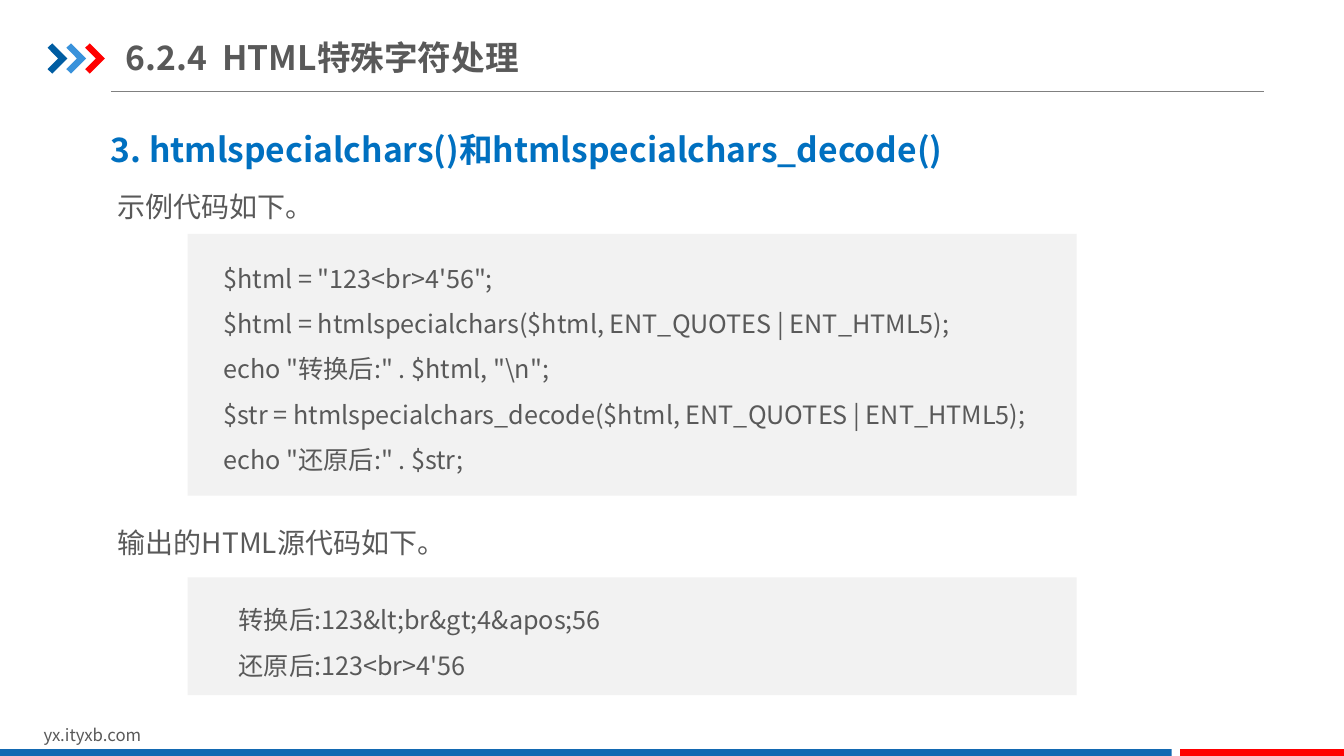
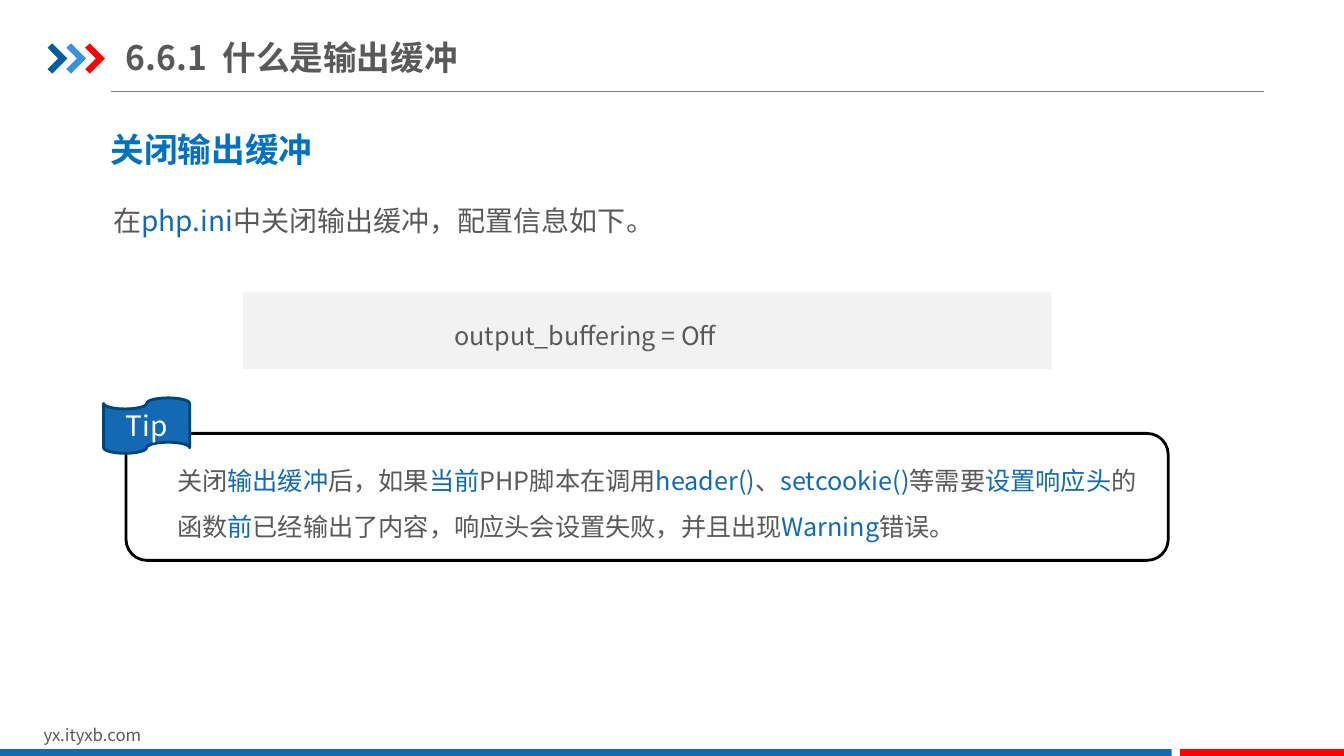
from dataclasses import dataclass

from lxml.etree import SubElement
from pptx import Presentation
from pptx.dml.color import RGBColor
from pptx.enum.shapes import MSO_CONNECTOR, MSO_SHAPE as Preset
from pptx.enum.text import MSO_ANCHOR as Anchor, MSO_AUTO_SIZE as AutoSize, PP_ALIGN as Align
from pptx.oxml.ns import qn
from pptx.shapes.autoshape import Shape
from pptx.slide import Slide
from pptx.util import Pt

FONT = "Noto Sans CJK SC"
GREY = RGBColor(0x59, 0x59, 0x59)
RULE_GREY = RGBColor(0x80, 0x80, 0x80)
PANEL_GREY = RGBColor(0xF2, 0xF2, 0xF2)
HEADING_BLUE = RGBColor(0x00, 0x70, 0xC0)
ACCENT = RGBColor(0x13, 0x69, 0xB3)
BAND_BLUE = RGBColor(0x13, 0x69, 0xB2)
DEEP_BLUE = RGBColor(0x00, 0x5D, 0xA2)
LIGHT_BLUE = RGBColor(0x39, 0x92, 0xDB)
TIP_EDGE = RGBColor(0x00, 0x45, 0x78)
RED = RGBColor(0xFF, 0x00, 0x00)
BLACK = RGBColor(0x00, 0x00, 0x00)
WHITE = RGBColor(0xFF, 0xFF, 0xFF)

CHEVRON_COLORS = (DEEP_BLUE, LIGHT_BLUE, RED)
CHEVRON_LEFT, CHEVRON_TOP, CHEVRON_PITCH = 34, 31, 13.4
CHEVRON_OUTLINE = ((0, 3.2), (3.3, 0), (14.2, 10.8), (3.3, 21.6), (0, 18.4), (7.6, 10.8))


@dataclass(frozen=True)
class Box:
    left: float
    top: float
    width: float
    height: float

    def lengths(self) -> tuple[Pt, Pt, Pt, Pt]:
        return Pt(self.left), Pt(self.top), Pt(self.width), Pt(self.height)


@dataclass(frozen=True)
class TextStyle:
    size: float
    color: RGBColor = GREY
    bold: bool = False
    spacing: float = 1.0


@dataclass(frozen=True)
class Line:
    """One paragraph; its segments alternate between plain and accented text."""
    segments: tuple[str, ...]


TITLE = TextStyle(24, bold=True)
HEADING = TextStyle(24, HEADING_BLUE, bold=True)
LEAD = TextStyle(20)
SPACED_LEAD = TextStyle(20, spacing=1.5)
CODE = TextStyle(18, spacing=1.5)
FOOTER = TextStyle(12)
TIP_LABEL = TextStyle(20, WHITE)


def plain(*texts: str) -> list[Line]:
    return [Line((text,)) for text in texts]


def write(shape: Shape, lines: list[Line], style: TextStyle, align: Align = Align.LEFT) -> None:
    frame = shape.text_frame
    for index, line in enumerate(lines):
        paragraph = frame.paragraphs[0] if index == 0 else frame.add_paragraph()
        paragraph.alignment = align
        paragraph.line_spacing = style.spacing
        for position, segment in enumerate(line.segments):
            run = paragraph.add_run()
            run.text = segment
            run.font.size = Pt(style.size)
            run.font.bold = style.bold
            run.font.color.rgb = ACCENT if position % 2 else style.color
            run.font.name = FONT
            SubElement(run.font._element, qn("a:ea"), typeface=FONT)


def add_text(slide: Slide, box: Box, lines: list[Line], style: TextStyle,
             anchor: Anchor = Anchor.TOP) -> Shape:
    text_box = slide.shapes.add_textbox(*box.lengths())
    frame = text_box.text_frame
    frame.word_wrap = True
    frame.auto_size = AutoSize.SHAPE_TO_FIT_TEXT
    frame.vertical_anchor = anchor
    write(text_box, lines, style)
    return text_box


def paint(shape: Shape, fill: RGBColor | None, edge: RGBColor | None = None) -> None:
    shape.shadow.inherit = False
    if fill is None:
        shape.fill.background()
    else:
        shape.fill.solid()
        shape.fill.fore_color.rgb = fill
    if edge is None:
        shape.line.fill.background()
    else:
        shape.line.color.rgb = edge
        shape.line.width = Pt(2)


def add_preset(slide: Slide, preset: Preset, box: Box, fill: RGBColor | None,
               edge: RGBColor | None = None) -> Shape:
    shape = slide.shapes.add_shape(preset, *box.lengths())
    paint(shape, fill, edge)
    return shape


def add_chevron(slide: Slide, left: float, color: RGBColor) -> None:
    start, *rest = [(Pt(left + x), Pt(CHEVRON_TOP + y)) for x, y in CHEVRON_OUTLINE]
    builder = slide.shapes.build_freeform(*start)
    builder.add_line_segments(rest, close=True)
    paint(builder.convert_to_shape(), color)


def add_frame(slide: Slide, title: str, heading: str) -> None:
    """Draw what every slide shares: rule, chevrons, footer, bands, title and heading."""
    rule = slide.shapes.add_connector(MSO_CONNECTOR.STRAIGHT, Pt(79.2), Pt(65.5), Pt(903), Pt(65.5))
    rule.line.color.rgb = RULE_GREY
    rule.line.width = Pt(0.75)
    SubElement(rule._element.spPr, qn("a:effectLst"))
    for index, color in enumerate(CHEVRON_COLORS):
        add_chevron(slide, CHEVRON_LEFT + index * CHEVRON_PITCH, color)
    add_text(slide, Box(24, 514, 229, 21.8), plain("yx.ityxb.com"), FOOTER)
    add_preset(slide, Preset.RECTANGLE, Box(0, 535, 837, 6.2), BAND_BLUE)
    add_preset(slide, Preset.RECTANGLE, Box(843, 535, 117, 6.2), RED)
    title_frame = add_text(slide, Box(90, 21, 307, 39.6), plain(title), TITLE, Anchor.MIDDLE).text_frame
    title_frame.auto_size = AutoSize.NONE
    title_frame.margin_left = title_frame.margin_right = 0
    title_frame.margin_top = title_frame.margin_bottom = Pt(5)
    add_text(slide, Box(72, 88.6, 640, 36), plain(heading), HEADING)


def add_code(slide: Slide, panel: Box, text: Box, *code: str) -> None:
    add_preset(slide, Preset.RECTANGLE, panel, PANEL_GREY)
    add_text(slide, text, plain(*code), CODE, Anchor.MIDDLE)


def build_special_chars(slide: Slide) -> None:
    add_frame(slide, "6.2.4  HTML特殊字符处理", "3. htmlspecialchars()和htmlspecialchars_decode()")
    for top, lead in ((119.5, "示例代码如下。"), (359.5, "输出的HTML源代码如下。")):
        add_text(slide, Box(77, top, 272, 44), plain(lead), SPACED_LEAD)
    add_code(slide, Box(134, 167, 635, 187), Box(152.6, 172.8, 628, 170.6),
             "$html = \"123<br>4'56\";",
             "$html = htmlspecialchars($html, ENT_QUOTES | ENT_HTML5);",
             'echo "转换后:" . $html, "\\n";',
             "$str = htmlspecialchars_decode($html, ENT_QUOTES | ENT_HTML5);",
             'echo "还原后:" . $str;')
    add_code(slide, Box(134, 412.5, 635, 84), Box(163.5, 417, 371, 72.7),
             "转换后:123&lt;br&gt;4&apos;56",
             "还原后:123<br>4'56")


def build_output_buffering(slide: Slide) -> None:
    add_frame(slide, "6.6.1  什么是输出缓冲", "关闭输出缓冲")
    add_text(slide, Box(74, 142, 698, 31.7),
             [Line(("在", "php.ini", "中关闭输出缓冲，配置信息如下。"))], LEAD)
    warning = Line((
        "关闭", "输出缓冲", "后，如果", "当前", "PHP脚本在调用", "header()", "、", "setcookie()",
        "等需要", "设置响应头", "的函数", "前", "已经输出了内容，响应头会设置失败，并且出现",
        "Warning", "错误。"))
    add_text(slide, Box(119.5, 318.2, 709, 72.7), [warning], CODE)
    add_preset(slide, Preset.ROUNDED_RECTANGLE, Box(90, 309.6, 744.5, 90.7), None, BLACK)
    flag = add_preset(slide, Preset.FLOWCHART_PUNCHED_TAPE, Box(74, 284.2, 61.5, 39.6), ACCENT, TIP_EDGE)
    flag.text_frame.vertical_anchor = Anchor.MIDDLE
    write(flag, plain("Tip"), TIP_LABEL, Align.CENTER)
    add_code(slide, Box(173.5, 208.8, 577.5, 54.7), Box(317.5, 216, 577.5, 36),
             "output_buffering = Off")


def main() -> None:
    deck = Presentation()
    deck.slide_width, deck.slide_height = Pt(960), Pt(540)
    blank = deck.slide_layouts[6]
    for build in (build_special_chars, build_output_buffering):
        build(deck.slides.add_slide(blank))
    deck.save("out.pptx")


if __name__ == "__main__":
    main()
